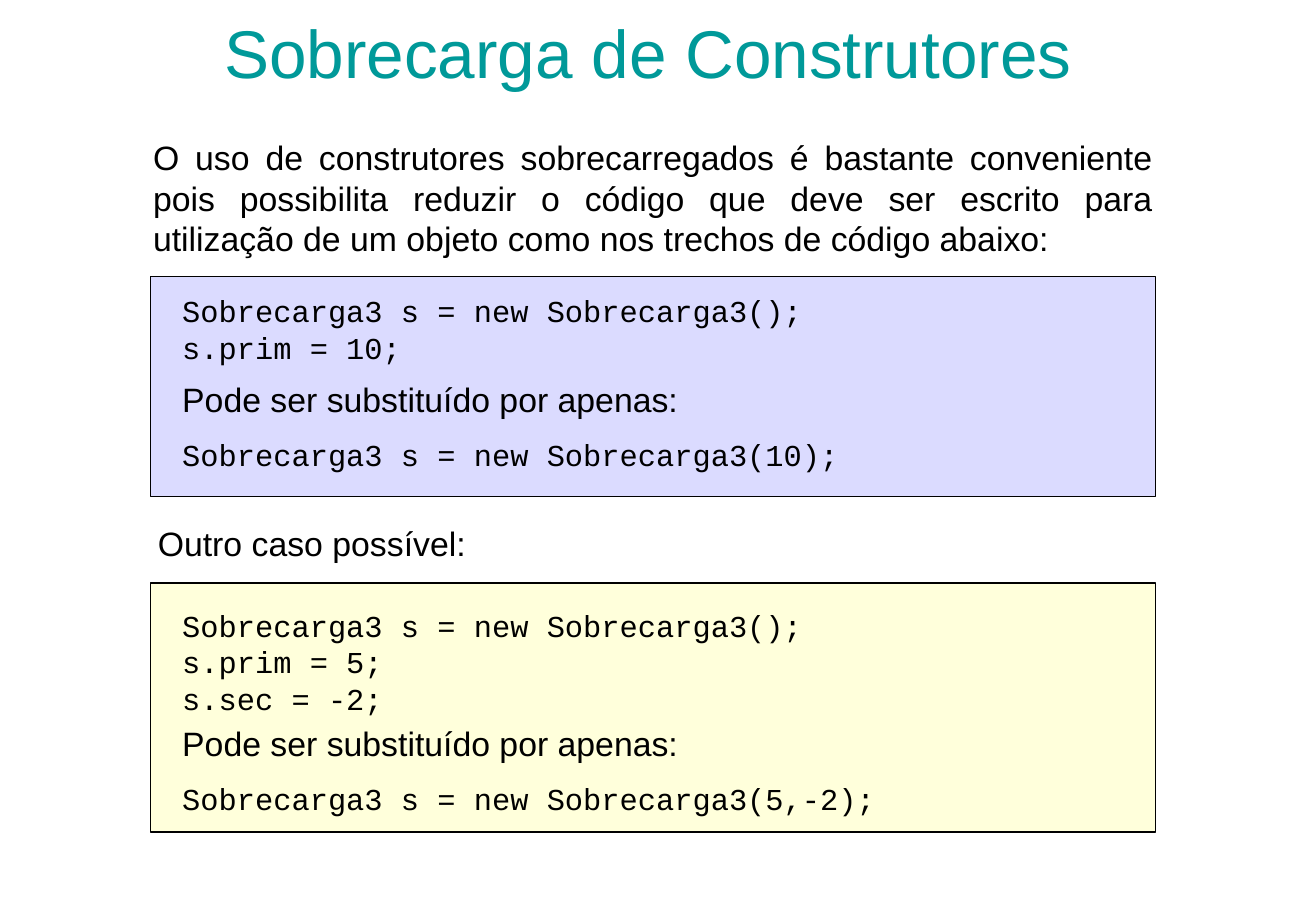
from dataclasses import dataclass

from lxml import etree
from pptx import Presentation
from pptx import util as u
from pptx.dml.color import RGBColor
from pptx.enum import shapes, text
from pptx.oxml import ns

COLORS = {"title": "009999", "ink": "000000", "blue": "9999FF", "yellow": "FFFF99"}
ALPHA = 35
INSET = 3.56
WIDTH = 21.41


@dataclass
class Panel:
    top: float
    height: float
    color: str


@dataclass
class Style:
    font: str
    size: int
    color: str = "ink"
    align: text.PP_ALIGN = text.PP_ALIGN.JUSTIFY
    anchor: text.MSO_ANCHOR = text.MSO_ANCHOR.TOP
    grow: bool = True


@dataclass
class Label:
    top: float
    height: float
    style: Style
    lines: list[str]
    left: float = INSET
    width: float = WIDTH


TITLE = Style("Arial", 40, "title", text.PP_ALIGN.CENTER, text.MSO_ANCHOR.MIDDLE, False)
PROSE = Style("Arial", 20)
CODE = Style("Courier New", 18)

PANELS = [Panel(5.79, 4.6, "blue"), Panel(12.19, 5.21, "yellow")]
FIRST = "Sobrecarga3 s = new Sobrecarga3();"
SWAP = "Pode ser substituído por apenas:"
LABELS = [
    Label(0, 2.16, TITLE, ["Sobrecarga de Construtores"], 2.11, 22.86),
    Label(2.74, 2.79, PROSE, [
        "O uso de construtores sobrecarregados é bastante conveniente pois "
        "possibilita reduzir o código que deve ser escrito para utilização "
        "de um objeto como nos trechos de código abaixo:"], 2.95),
    Label(5.99, 1.78, CODE, [FIRST, "s.prim = 10;"]),
    Label(7.8, 1.12, PROSE, [SWAP]),
    Label(8.99, 1.02, CODE, ["Sobrecarga3 s = new Sobrecarga3(10);"]),
    Label(10.8, 1.12, PROSE, ["Outro caso possível:"], 3.05),
    Label(12.57, 2.54, CODE, [FIRST, "s.prim = 5;", "s.sec = -2;"]),
    Label(14.99, 1.12, PROSE, [SWAP]),
    Label(16.18, 1.02, CODE, ["Sobrecarga3 s = new Sobrecarga3(5,-2);"]),
]


def paint(name: str) -> RGBColor:
    return RGBColor.from_string(COLORS[name])


def draw_panel(slide, panel: Panel) -> None:
    box = slide.shapes.add_shape(
        shapes.MSO_SHAPE.RECTANGLE,
        u.Cm(3.15), u.Cm(panel.top), u.Cm(21.01), u.Cm(panel.height))
    box.shadow.inherit = False
    box.fill.solid()
    box.fill.fore_color.rgb = paint(panel.color)
    tint = box.element.spPr.find(ns.qn("a:solidFill")).find(ns.qn("a:srgbClr"))
    etree.SubElement(tint, ns.qn("a:alpha")).set("val", str(ALPHA * 1000))
    box.line.color.rgb = paint("ink")
    box.line.width = u.Pt(0.75)


def draw_label(slide, label: Label) -> None:
    style = label.style
    frame = slide.shapes.add_textbox(
        u.Cm(label.left), u.Cm(label.top),
        u.Cm(label.width), u.Cm(label.height)).text_frame
    frame.word_wrap = True
    frame.vertical_anchor = style.anchor
    if style.grow:
        frame.auto_size = text.MSO_AUTO_SIZE.SHAPE_TO_FIT_TEXT
    frame.text = "\n".join(label.lines)
    for line in frame.paragraphs:
        line.alignment = style.align
        line.font.name = style.font
        line.font.size = u.Pt(style.size)
        line.font.color.rgb = paint(style.color)


def main() -> None:
    deck = Presentation()
    deck.slide_width = u.Cm(27.51)
    deck.slide_height = u.Cm(19.05)
    slide = deck.slides.add_slide(deck.slide_layouts[6])
    for panel in PANELS:
        draw_panel(slide, panel)
    for label in LABELS:
        draw_label(slide, label)
    deck.save("out.pptx")


if __name__ == "__main__":
    main()
